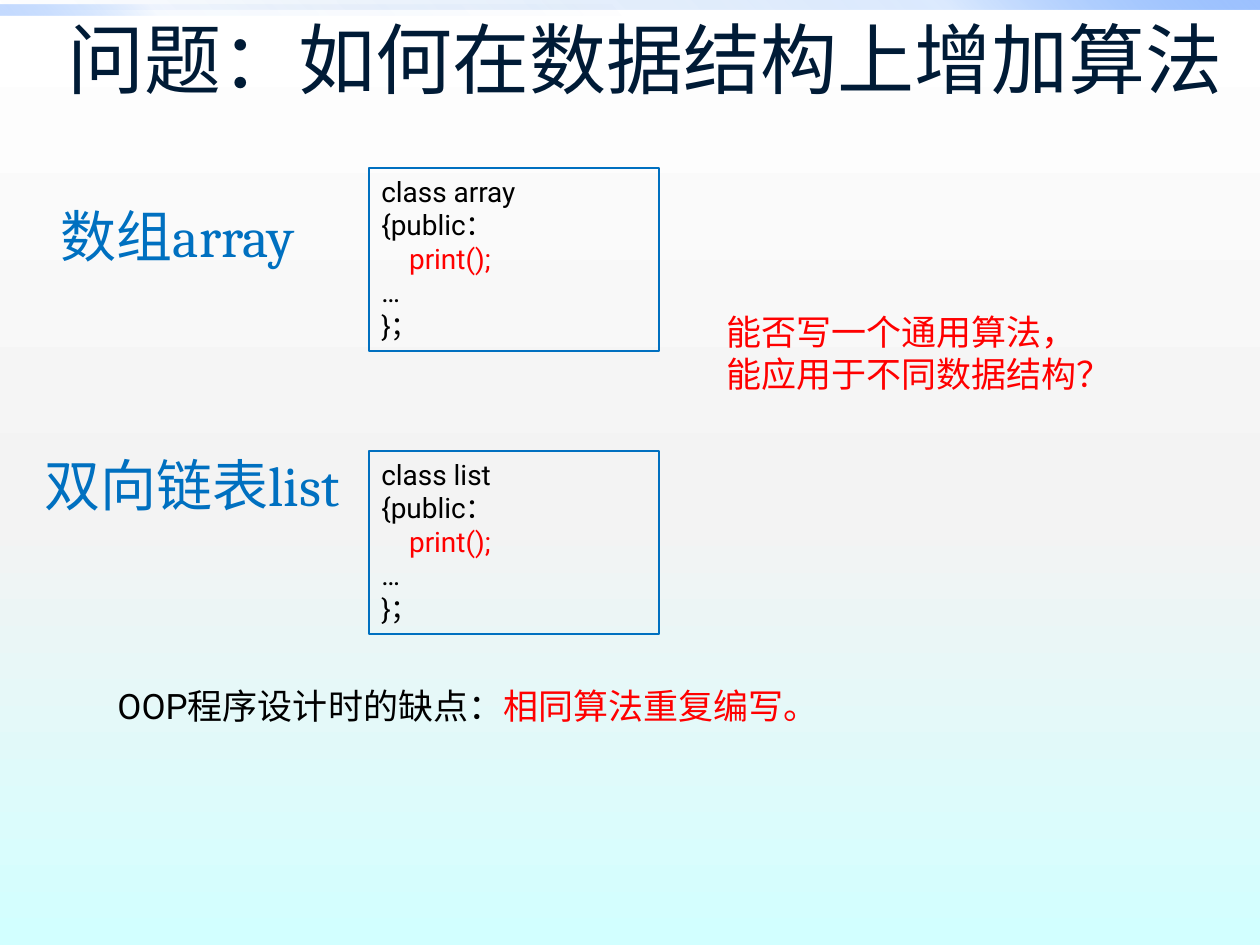
"""Build a slide asking how to add algorithms to data structures."""
from typing import NamedTuple

from lxml.etree import SubElement
from pptx import Presentation
from pptx.dml.color import RGBColor
from pptx.enum.shapes import MSO_SHAPE as Shape
from pptx.enum.text import MSO_ANCHOR as Anchor, MSO_AUTO_SIZE as AutoSize, PP_ALIGN as Align
from pptx.oxml.ns import qn
from pptx.util import Emu, Pt

PX = 914400 / 126
NAVY = RGBColor(0x00, 0x1B, 0x36)
BLUE = RGBColor(0x00, 0x70, 0xC0)
RED = RGBColor(0xFF, 0x00, 0x00)
BLACK = RGBColor(0x00, 0x00, 0x00)
WHITE = RGBColor(0xFF, 0xFF, 0xFF)
PALE_GREY = RGBColor(0xF3, 0xF3, 0xF3)
PALE_CYAN = RGBColor(0xD2, 0xFF, 0xFF)
DEEP_BLUE = RGBColor(0x00, 0x58, 0xB7)
MID_BLUE = RGBColor(0x4F, 0x95, 0xFF)
LIGHT_BLUE = RGBColor(0x9E, 0xC2, 0xFF)


class Box(NamedTuple):
    left: int
    top: int
    width: int
    height: int


class Stop(NamedTuple):
    position: int
    color: RGBColor
    opacity: int = 100


class Piece(NamedTuple):
    text: str
    color: RGBColor


class Bar(NamedTuple):
    box: Box
    angle: int
    opacities: tuple[int, int, int]


class Structure(NamedTuple):
    class_name: str
    code_box: Box


BARS = [
    Bar(Box(0, 0, 1260, 10), 315, (0, 20, 100)),
    Bar(Box(0, 5, 630, 10), 135, (0, 5, 60)),
]
STRUCTURES = [
    Structure("array", Box(369, 168, 290, 183)),
    Structure("list", Box(369, 451, 290, 183)),
]


def emu(box: Box) -> list[Emu]:
    return [Emu(round(length * PX)) for length in box]


def place(shape, box: Box) -> None:
    shape.left, shape.top, shape.width, shape.height = emu(box)


def fill_gradient(fill, holder, stops: list[Stop], angle: int) -> None:
    fill.gradient()
    gradient = next(holder.iter(qn("a:gradFill")))
    stop_list = gradient.find(qn("a:gsLst"))
    for old in list(stop_list):
        stop_list.remove(old)
    for stop in stops:
        entry = SubElement(stop_list, qn("a:gs"), pos=str(stop.position * 1000))
        color = SubElement(entry, qn("a:srgbClr"), val=str(stop.color))
        if stop.opacity < 100:
            SubElement(color, qn("a:alpha"), val=str(stop.opacity * 1000))
    gradient.find(qn("a:lin")).set("ang", str(angle * 60000))


def write(frame, lines: list[list[Piece]], *, size: int, font: str = "Roboto",
          align: Align = Align.LEFT, anchor: Anchor = Anchor.TOP,
          hanging: int = 0, auto_size: AutoSize = AutoSize.NONE) -> None:
    frame.word_wrap = True
    frame.auto_size = auto_size
    frame.vertical_anchor = anchor
    for index, pieces in enumerate(lines):
        paragraph = frame.paragraphs[0] if index == 0 else frame.add_paragraph()
        paragraph.alignment = align
        paragraph.space_before = Pt(0)
        properties = paragraph._p.get_or_add_pPr()
        indent = round(hanging * PX)
        properties.set("marL", str(indent))
        properties.set("indent", str(-indent))
        SubElement(properties, qn("a:buNone"))
        for piece in pieces:
            run = paragraph.add_run()
            run.text = piece.text
            run.font.size = Pt(size)
            run.font.name = font
            run.font.color.rgb = piece.color


def add_bar(slide, bar: Bar, depth: int) -> None:
    strip = slide.shapes.add_shape(Shape.RECTANGLE, *emu(bar.box))
    strip.shadow.inherit = False
    strip.line.fill.background()
    colors = (DEEP_BLUE, MID_BLUE, LIGHT_BLUE)
    stops = [Stop(*values) for values in zip((0, 75, 100), colors, bar.opacities)]
    fill_gradient(strip.fill, strip.element, stops, bar.angle)
    slide.shapes.element.insert(2 + depth, strip.element)


def add_code(slide, structure: Structure) -> None:
    code = slide.shapes.add_shape(Shape.RECTANGLE, *emu(structure.code_box))
    code.shadow.inherit = False
    code.fill.background()
    code.line.color.rgb = BLUE
    code.line.width = Pt(0.75)
    write(code.text_frame, [
        [Piece(f"class {structure.class_name}", BLACK)],
        [Piece("{public：", BLACK)],
        [Piece("    ", BLACK), Piece("print();", RED)],
        [Piece("…", BLACK)],
        [Piece("}；", BLACK)],
    ], size=16, auto_size=AutoSize.SHAPE_TO_FIT_TEXT)


def write_heading(shape, text: str) -> None:
    write(shape.text_frame, [[Piece(text, BLUE)]], size=32, font="Cambria",
          align=Align.JUSTIFY, hanging=48)


def add_remark(slide, box: Box, lines: list[list[Piece]]) -> None:
    remark = slide.shapes.add_textbox(*emu(box))
    write(remark.text_frame, lines, size=20, auto_size=AutoSize.SHAPE_TO_FIT_TEXT)


def main() -> None:
    deck = Presentation()
    deck.slide_width, deck.slide_height = emu(Box(0, 0, 1260, 945))[2:]
    slide = deck.slides.add_slide(deck.slide_layouts[1])
    background = slide.background
    fill_gradient(background.fill, slide.element,
                  [Stop(0, WHITE), Stop(55, PALE_GREY), Stop(100, PALE_CYAN)], 90)
    for depth, bar in enumerate(BARS):
        add_bar(slide, bar, depth)

    title = slide.shapes.title
    place(title, Box(42, -21, 1207, 158))
    write(title.text_frame, [[Piece("问题：如何在数据结构上增加算法", NAVY)]],
          size=44, align=Align.CENTER, anchor=Anchor.MIDDLE)

    array_heading = slide.placeholders[1]
    place(array_heading, Box(48, 195, 297, 88))
    write_heading(array_heading, "数组array")
    list_heading = slide.shapes.add_textbox(*emu(Box(32, 444, 373, 54)))
    write_heading(list_heading, "双向链表list")

    for structure in STRUCTURES:
        add_code(slide, structure)
    add_remark(slide, Box(105, 678, 878, 97), [
        [Piece("OOP程序设计时的缺点：", BLACK), Piece("相同算法重复编写。", RED)],
    ])
    add_remark(slide, Box(714, 304, 410, 140), [
        [Piece("能否写一个通用算法，", RED)],
        [Piece("能应用于不同数据结构？", RED)],
    ])
    deck.save("out.pptx")


if __name__ == "__main__":
    main()
